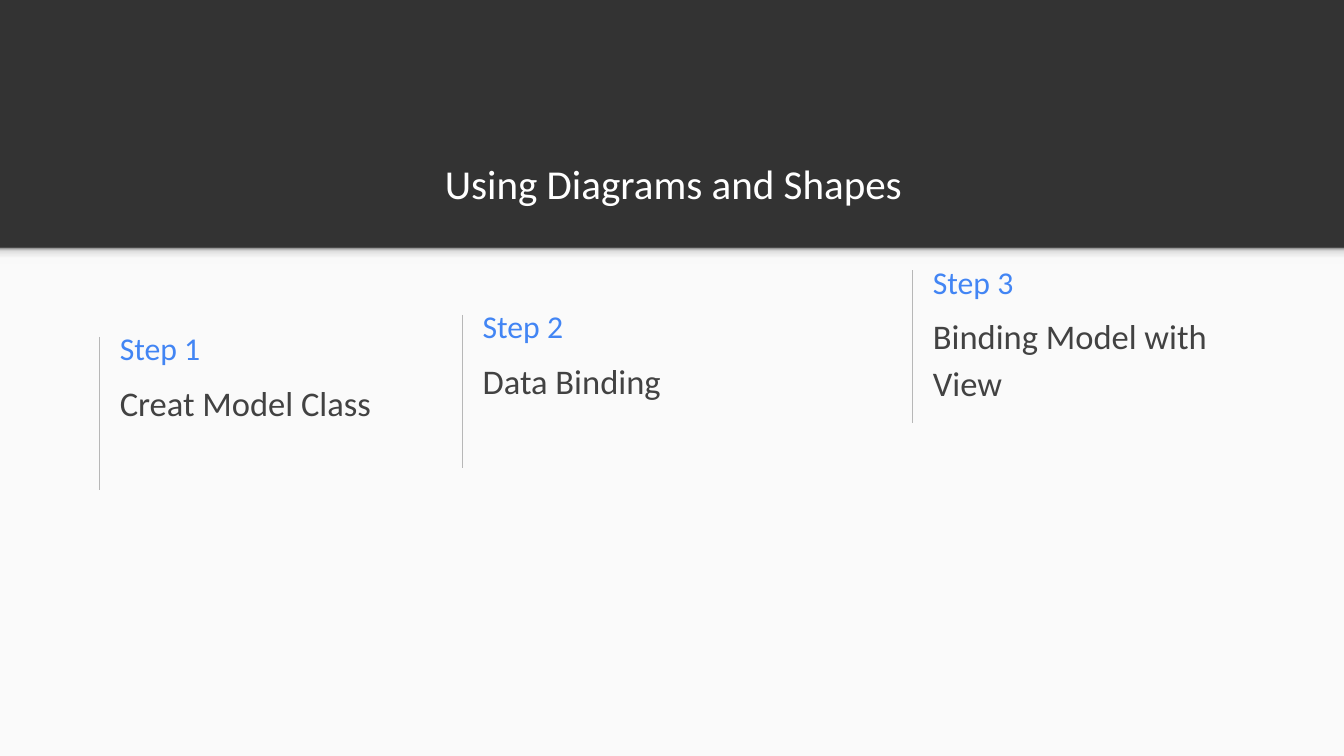
from dataclasses import dataclass

from lxml import etree
from pptx import Presentation
from pptx.dml.color import RGBColor
from pptx.enum.shapes import MSO_CONNECTOR, MSO_SHAPE
from pptx.enum.text import MSO_ANCHOR, PP_ALIGN
from pptx.oxml.ns import qn
from pptx.util import Pt

RECTANGLE = MSO_SHAPE.RECTANGLE
STRAIGHT = MSO_CONNECTOR.STRAIGHT
TOP, MIDDLE, BOTTOM = MSO_ANCHOR.TOP, MSO_ANCHOR.MIDDLE, MSO_ANCHOR.BOTTOM
LEFT, CENTER = PP_ALIGN.LEFT, PP_ALIGN.CENTER


@dataclass(frozen=True)
class Theme:
    font: str = "Calibri"
    header: str = "333333"
    body: str = "FAFAFA"
    title: str = "FFFFFF"
    accent: str = "4285F4"
    text: str = "424242"
    rule: str = "B7B7B7"
    shade: tuple = ((0, "F9F9F9"), (36, "F9F9F9"), (80, "DEDEDE"), (100, "999999"))
    title_size: float = 44
    label_size: float = 34
    text_size: float = 37


THEME = Theme()
SLIDE_WIDTH, SLIDE_HEIGHT = 1440, 809.62
HEADER_HEIGHT = 265.6
SHADE_HEIGHT = 17.28
INSET = 14.4
RULE_HEIGHT = 163.7
TEXT_GAP = 7.4

# Label, description, rule left, rule top, description width
STEPS = (
    ("Step 1", "Creat Model Class", 106.56, 360.8, 329.76),
    ("Step 2", "Data Binding", 495.36, 337.3, 384.48),
    ("Step 3", "Binding Model with View", 977.76, 289.3, 384.48),
)


def add_rectangle(slide, left, top, width, height):
    shape = slide.shapes.add_shape(RECTANGLE, Pt(left), Pt(top), Pt(width), Pt(height))
    shape.shadow.inherit = False
    shape.line.fill.background()
    return shape


def fill_gradient(shape, stops, angle):
    shape.fill.gradient()
    shape.fill.gradient_angle = angle
    stop_list = shape.element.spPr.find(qn("a:gradFill")).find(qn("a:gsLst"))
    for old_stop in list(stop_list):
        stop_list.remove(old_stop)
    for percent, color in stops:
        stop = etree.SubElement(stop_list, qn("a:gs"), pos=str(percent * 1000))
        etree.SubElement(stop, qn("a:srgbClr"), val=color)


def add_rule(slide, left, top, height):
    connector = slide.shapes.add_connector(
        STRAIGHT, Pt(left), Pt(top), Pt(left), Pt(top + height))
    connector.line.color.rgb = RGBColor.from_string(THEME.rule)
    connector.line.width = Pt(0.75)
    etree.SubElement(connector.element.spPr, qn("a:effectLst"))


def add_text(slide, text, left, top, width, height, *, size, color,
             anchor=TOP, align=LEFT, line_spacing=None, space_after=None):
    box = slide.shapes.add_textbox(Pt(left), Pt(top), Pt(width), Pt(height))
    frame = box.text_frame
    frame.word_wrap = True
    frame.vertical_anchor = anchor
    frame.margin_left = frame.margin_right = Pt(INSET)
    frame.margin_top = frame.margin_bottom = Pt(INSET)
    paragraph = frame.paragraphs[0]
    paragraph.alignment = align
    if line_spacing is not None:
        paragraph.line_spacing = line_spacing
    if space_after is not None:
        paragraph.space_after = Pt(space_after)
    run = paragraph.add_run()
    run.text = text
    run.font.name = THEME.font
    run.font.size = Pt(size)
    run.font.color.rgb = RGBColor.from_string(color)


def add_step(slide, label, description, left, top, width):
    add_rule(slide, left, top, RULE_HEIGHT)
    text_left = left + TEXT_GAP
    add_text(slide, label, text_left, top - 18.8, 285.84, 61.92,
             size=THEME.label_size, color=THEME.accent, anchor=MIDDLE)
    add_text(slide, description, text_left, top + 26.8, width, 91.44,
             size=THEME.text_size, color=THEME.text,
             line_spacing=1.15, space_after=32)


def add_backdrop(slide):
    slide.background.fill.solid()
    slide.background.fill.fore_color.rgb = RGBColor.from_string(THEME.header)
    panel = add_rectangle(slide, 0, HEADER_HEIGHT, SLIDE_WIDTH,
                          SLIDE_HEIGHT - HEADER_HEIGHT)
    panel.fill.solid()
    panel.fill.fore_color.rgb = RGBColor.from_string(THEME.body)
    shade = add_rectangle(slide, 0, HEADER_HEIGHT, SLIDE_WIDTH, SHADE_HEIGHT)
    fill_gradient(shade, THEME.shade, 90)


def main():
    presentation = Presentation()
    presentation.slide_width = Pt(SLIDE_WIDTH)
    presentation.slide_height = Pt(SLIDE_HEIGHT)
    slide = presentation.slides.add_slide(presentation.slide_layouts[6])

    # Dark header above a light panel
    add_backdrop(slide)
    add_text(slide, "Using Diagrams and Shapes", 74.16, 116.2, 1295.28, 120.7,
             size=THEME.title_size, color=THEME.title, anchor=BOTTOM, align=CENTER)

    # Steps
    for step in STEPS:
        add_step(slide, *step)

    presentation.save("out.pptx")


if __name__ == "__main__":
    main()
